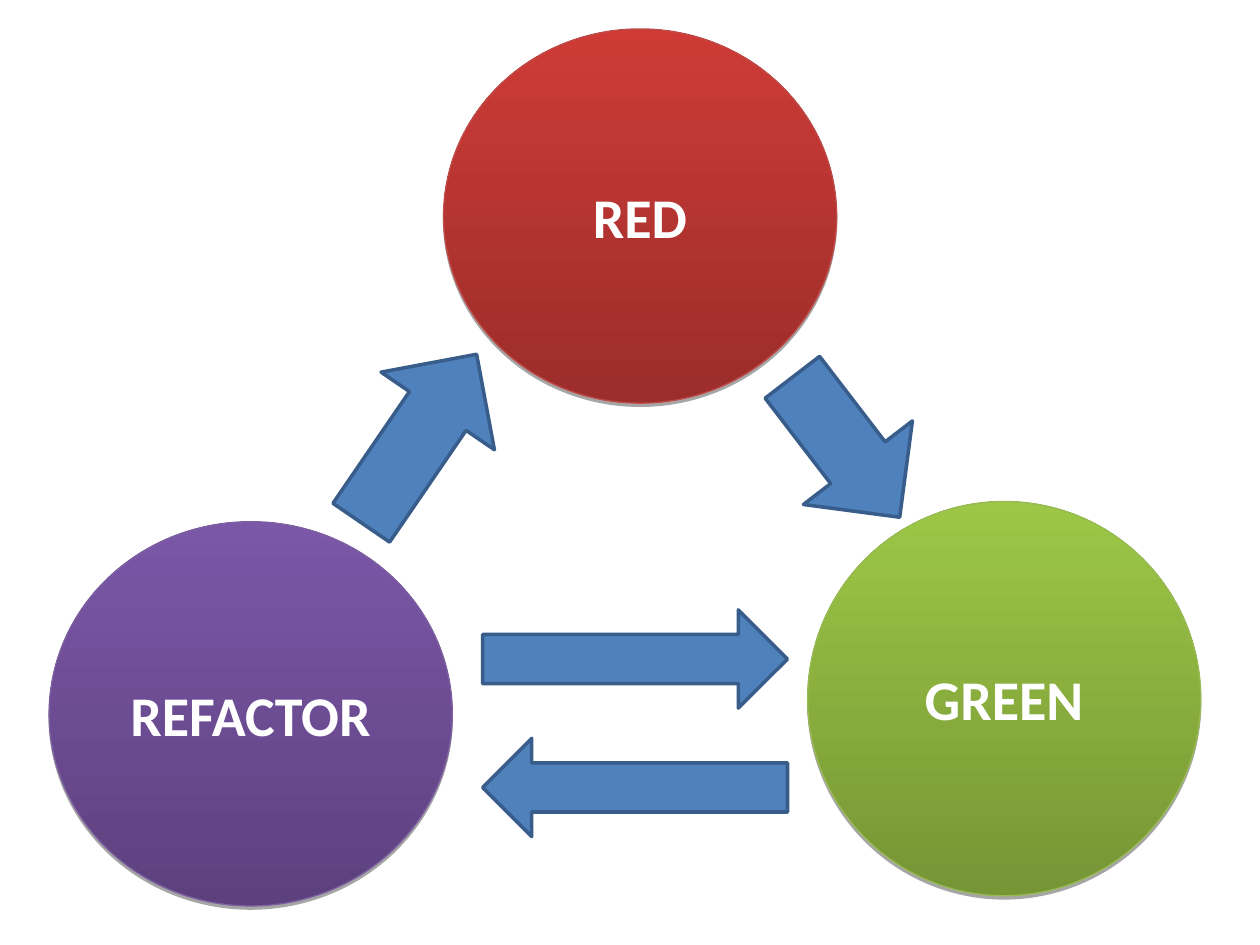
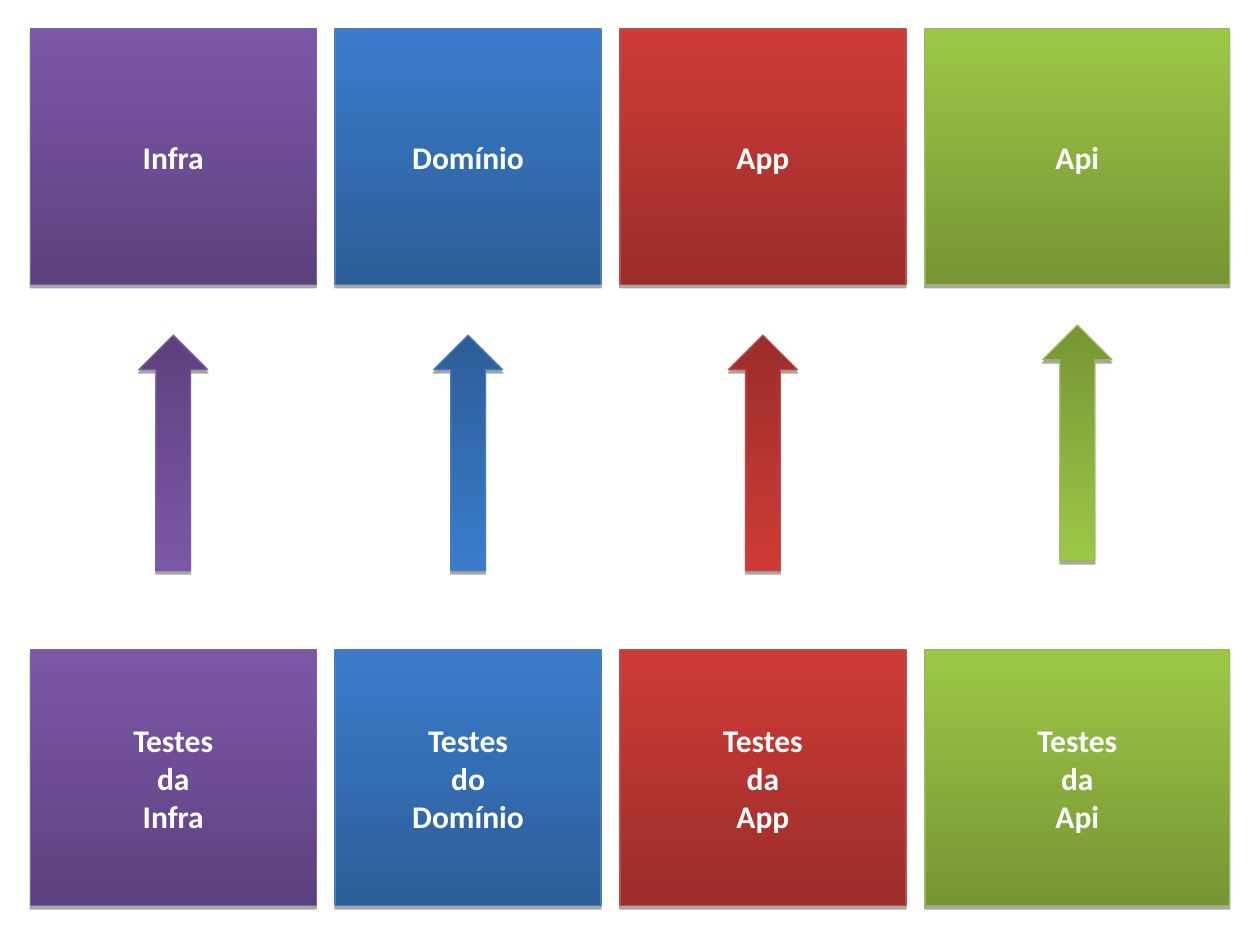
from lxml import etree
from pptx import Presentation
from pptx.dml.color import RGBColor
from pptx.enum.shapes import MSO_SHAPE
from pptx.enum.text import MSO_ANCHOR, PP_ALIGN
from pptx.oxml.ns import qn
from pptx.util import Inches, Pt

ELLIPSE, RECTANGLE, DOWN_ARROW = MSO_SHAPE.OVAL, MSO_SHAPE.RECTANGLE, MSO_SHAPE.DOWN_ARROW
MIDDLE, CENTER = MSO_ANCHOR.MIDDLE, PP_ALIGN.CENTER

COLORS = {"white": "FFFFFF", "arrow": "4F81BD", "arrow_line": "385D8A", "shadow": "000000"}
THEMES = {
    "red": {"dark": "9B2D2A", "light": "CE3B37", "line": "BE4B48"},
    "green": {"dark": "769535", "light": "9CC746", "line": "98B954"},
    "purple": {"dark": "5D417E", "light": "7B57A8", "line": "7D60A0"},
    "blue": {"dark": "2C5D98", "light": "3A7CCB", "line": "4A7EBB"},
}
FONT = {"name": "Calibri", "bold": True}
SHADOW = {"blurRad": "0", "dist": str(Pt(1.8)), "dir": "5400000", "algn": "ctr", "rotWithShape": "0"}

CYCLE_STEPS = [
    ("RED", "red", (3.52, 0.23, 3.12, 2.97)),
    ("GREEN", "green", (6.41, 3.98, 3.12, 3.13)),
    ("REFACTOR", "purple", (0.39, 4.14, 3.2, 3.05)),
]
CYCLE_ARROWS = [
    ((6.17, 2.85, 1.09, 1.4), 322.5),
    ((2.78, 2.67, 1.09, 1.62), 214.4),
    ((4.65, 5.04, 0.78, 2.42), 90),
    ((4.65, 4.02, 0.78, 2.42), 270),
]
LAYERS = [
    ("Infra", "da", "purple", 2.27, 2.66),
    ("Domínio", "do", "blue", 2.11, 2.66),
    ("App", "da", "red", 2.27, 2.66),
    ("Api", "da", "green", 2.42, 2.58),
]
LAYER_LEFT, LAYER_GAP, LAYER_HEIGHT = 0.24, 0.15, 2.03
LAYER_TOP, TESTS_TOP = 0.23, 5.16
ARROW_WIDTH, ARROW_HEIGHT = 0.55, 1.87
STEP_SIZE, LAYER_SIZE = 32, 18


def rgb(value):
    return RGBColor.from_string(value)


def add_base_shape(slide, kind, box, line_color, line_width, rotation=0):
    shape = slide.shapes.add_shape(kind, *map(Inches, box))
    shape.rotation = rotation
    shape.shadow.inherit = False
    shape.line.color.rgb = rgb(line_color)
    shape.line.width = Pt(line_width)
    return shape


def add_shadow(shape):
    effects = shape._element.spPr.find(qn("a:effectLst"))
    shadow = etree.SubElement(effects, qn("a:outerShdw"), SHADOW)
    color = etree.SubElement(shadow, qn("a:srgbClr"), val=COLORS["shadow"])
    etree.SubElement(color, qn("a:alpha"), val="35000")


def add_glossy_shape(slide, kind, box, theme_name, rotation=0):
    theme = THEMES[theme_name]
    shape = add_base_shape(slide, kind, box, theme["line"], 0.75, rotation)
    shape.fill.gradient()
    shape.fill.gradient_angle = 90
    for stop, position, tone in zip(shape.fill.gradient_stops, (0, 1), ("dark", "light")):
        stop.position = position
        stop.color.rgb = rgb(theme[tone])
    add_shadow(shape)
    return shape


def write_label(shape, lines, size):
    frame = shape.text_frame
    frame.word_wrap = True
    frame.vertical_anchor = MIDDLE
    frame.text = "\n".join(lines)
    for paragraph in frame.paragraphs:
        paragraph.alignment = CENTER
        font = paragraph.runs[0].font
        for name, value in {**FONT, "size": Pt(size)}.items():
            setattr(font, name, value)
        font.color.rgb = rgb(COLORS["white"])


def build_cycle(slide):
    for label, theme_name, box in CYCLE_STEPS:
        write_label(add_glossy_shape(slide, ELLIPSE, box, theme_name), [label], STEP_SIZE)
    for box, rotation in CYCLE_ARROWS:
        arrow = add_base_shape(slide, DOWN_ARROW, box, COLORS["arrow_line"], 2, rotation)
        arrow.fill.solid()
        arrow.fill.fore_color.rgb = rgb(COLORS["arrow"])


def build_layers(slide):
    left = LAYER_LEFT
    for name, article, theme_name, width, arrow_top in LAYERS:
        for top, lines in ((LAYER_TOP, [name]), (TESTS_TOP, ["Testes", article, name])):
            block = add_glossy_shape(slide, RECTANGLE, (left, top, width, LAYER_HEIGHT), theme_name)
            write_label(block, lines, LAYER_SIZE)
        arrow_left = left + (width - ARROW_WIDTH) / 2
        arrow_box = (arrow_left, arrow_top, ARROW_WIDTH, ARROW_HEIGHT)
        add_glossy_shape(slide, DOWN_ARROW, arrow_box, theme_name, 180)
        left += width + LAYER_GAP


def main():
    presentation = Presentation()
    presentation.slide_width, presentation.slide_height = Inches(10), Inches(7.5)
    for build in (build_cycle, build_layers):
        build(presentation.slides.add_slide(presentation.slide_layouts[6]))
    presentation.save("out.pptx")


if __name__ == "__main__":
    main()
